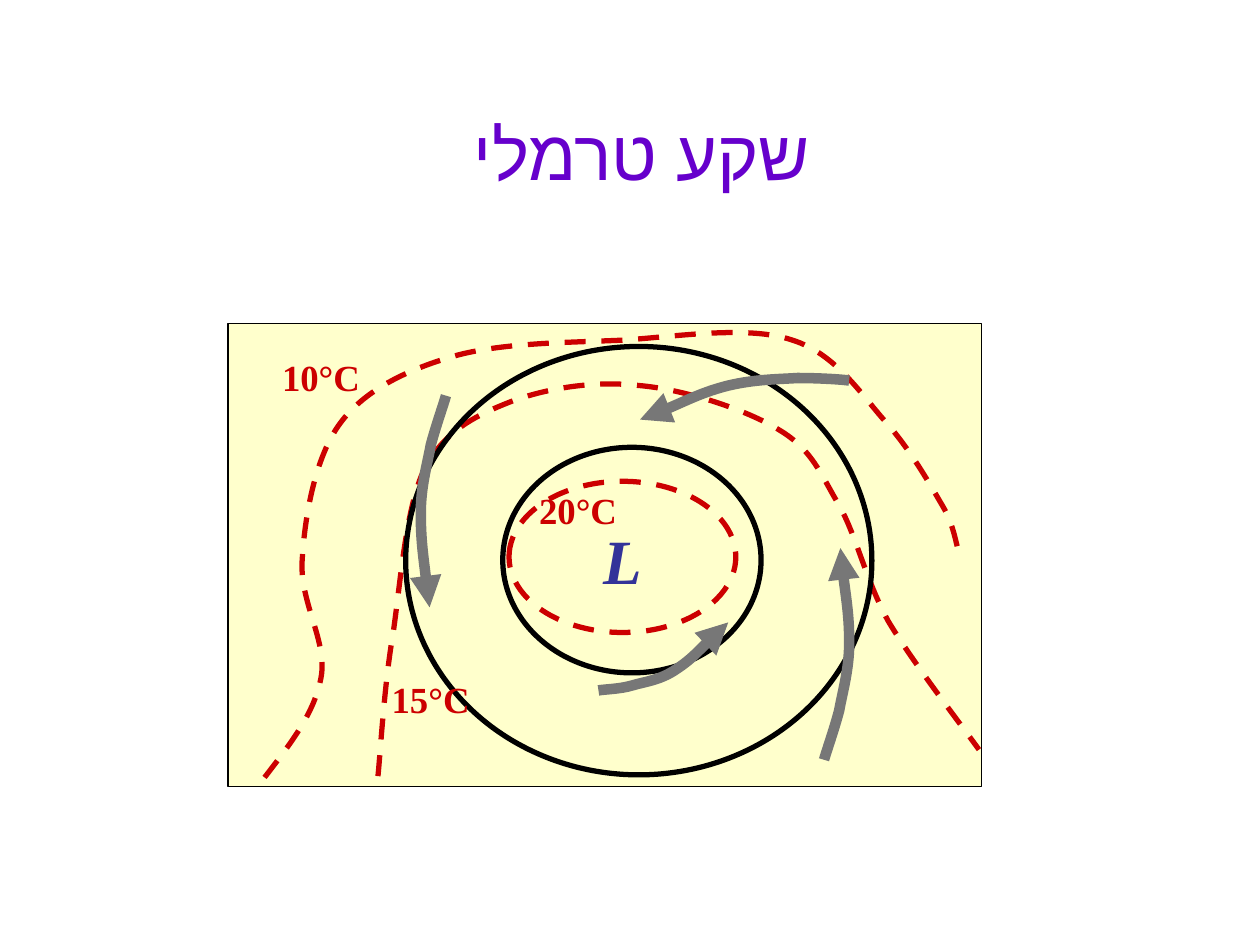
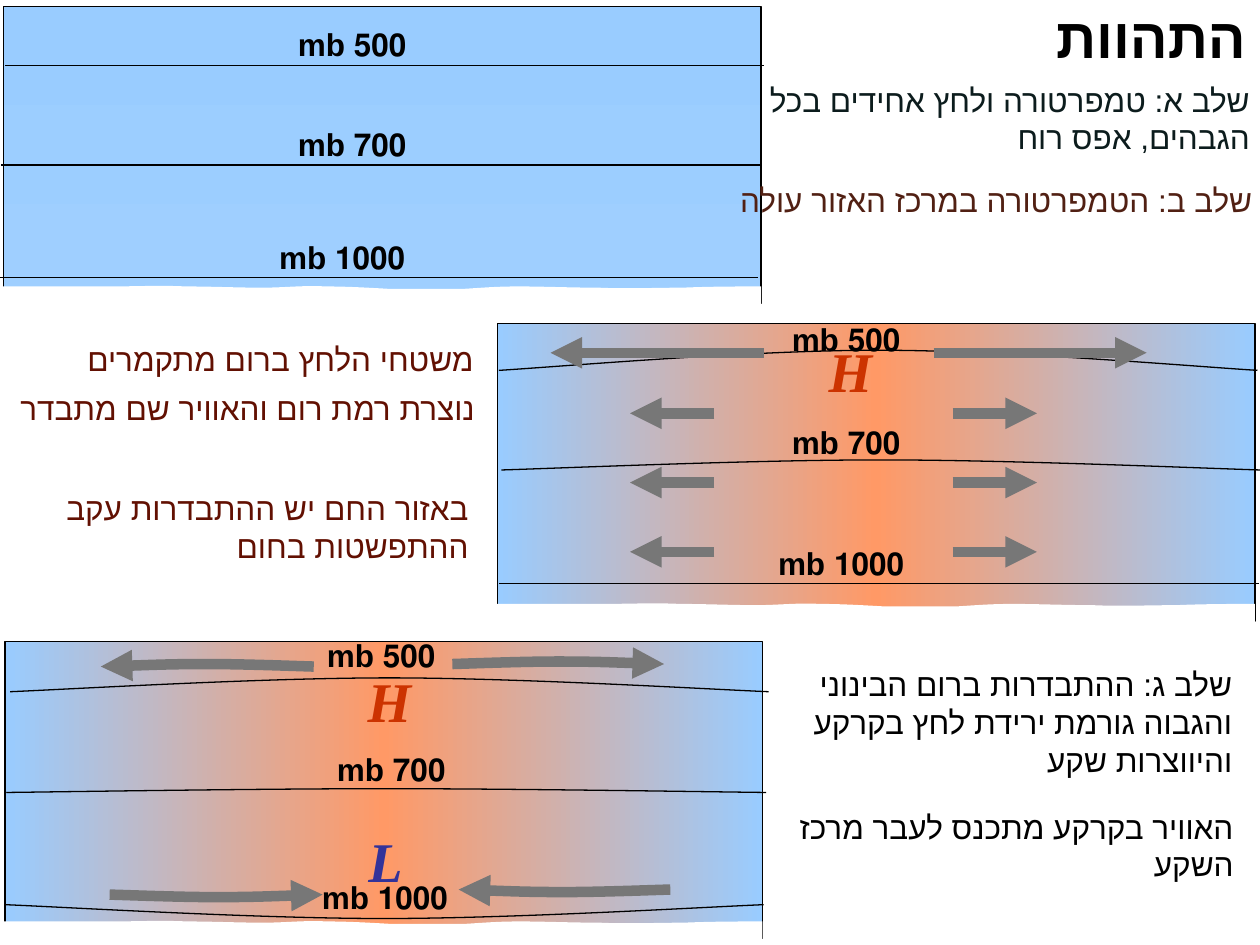
from math import cos, radians, sin
from lxml.etree import SubElement
from pptx import Presentation
from pptx.dml.color import RGBColor
from pptx.enum.dml import MSO_LINE
from pptx.enum.lang import MSO_LANGUAGE_ID
from pptx.enum.shapes import MSO_CONNECTOR, MSO_SHAPE
from pptx.enum.text import PP_ALIGN
from pptx.oxml.ns import qn
from pptx.util import Inches, Pt

BLACK, WHITE, WIND, ISOTHERM = "000000", "FFFFFF", "777777", "CC0000"
COOL, WARM, HIGH, LOW = "99CCFF", "FF9966", "CC3300", "333399"
BROWN = "621002"
SANS, SERIF = "Arial", "Times New Roman"

MAP_TITLE = "שקע טרמלי"
MAP_AREA = (1.81, 2.57, 5.98, 3.67)
MAP_ISOBARS = [(3.99, 3.55, 2.05, 1.79), (3.22, 2.75, 3.7, 3.4)]
WARM_CORE = (4.04, 3.82, 1.8, 1.2)
MAP_ISOTHERMS = [
    [(2.1, 6.17), (2.3, 5.91), (2.5, 5.66), (2.55, 5.37),
     (2.6, 5.08), (2.37, 4.77), (2.4, 4.43), (2.42, 4.1), (2.5, 3.63), (2.7, 3.36),
     (2.89, 3.1), (3.22, 2.94), (3.59, 2.83), (3.97, 2.72), (4.49, 2.72), (4.94, 2.7),
     (5.39, 2.67), (5.94, 2.58), (6.29, 2.7), (6.64, 2.81), (6.84, 3.14), (7.04, 3.36),
     (7.24, 3.59), (7.39, 3.86), (7.49, 4.03), (7.59, 4.21), (7.59, 4.37), (7.63, 4.43)],
    [(3, 6.16), (3.02, 5.97), (3.05, 5.43), (3.12, 5.03),
     (3.18, 4.62), (3.22, 4.03), (3.37, 3.72), (3.53, 3.42), (3.77, 3.3), (4.05, 3.19),
     (4.34, 3.08), (4.72, 3.02), (5.07, 3.06), (5.43, 3.09), (5.92, 3.25), (6.18, 3.41),
     (6.45, 3.57), (6.51, 3.76), (6.66, 4.01), (6.8, 4.26), (6.87, 4.6), (7.05, 4.93),
     (7.24, 5.25), (7.62, 5.74), (7.77, 5.95)],
]
MAP_WINDS = [
    (15, [(6.54, 6.03), (6.56, 5.96), (6.62, 5.79), (6.66, 5.64),
          (6.69, 5.48), (6.74, 5.31), (6.74, 5.1), (6.74, 4.88), (6.68, 4.5), (6.67, 4.35)]),
    (15, [(3.54, 3.14), (3.52, 3.21), (3.46, 3.38), (3.42, 3.53),
          (3.39, 3.69), (3.34, 3.86), (3.34, 4.07), (3.34, 4.29), (3.39, 4.67), (3.41, 4.82)]),
    (270, [(6.74, 3.02), (6.67, 3.01), (6.49, 3), (6.33, 3),
           (6.17, 3.01), (5.99, 3.01), (5.78, 3.06), (5.58, 3.11), (5.23, 3.28), (5.08, 3.33)]),
    (80, [(4.75, 5.48), (4.8, 5.47), (4.92, 5.47), (5.02, 5.44),
          (5.12, 5.41), (5.24, 5.4), (5.37, 5.31), (5.49, 5.23), (5.69, 5.02), (5.78, 4.94)]),
]
TEMPERATURE_AREA = (2.14, 2.77, 2.93, 3.15)
TEMPERATURES = [("10°C", 0, 0), ("20°C", 2.04, 50.7), ("15°C", 0.87, 82.7)]

PANEL_SIZE = (6.01, 2.36)
GROUND = [(-0.03, 2.3), (0.05, 2.3), (0.31, 2.3), (0.46, 2.3),
          (0.61, 2.3), (0.7, 2.3), (0.86, 2.3), (1.03, 2.3), (1.25, 2.29), (1.44, 2.3),
          (1.64, 2.3), (1.86, 2.31), (2.05, 2.31), (2.23, 2.31), (2.38, 2.29), (2.55, 2.3),
          (2.72, 2.3), (2.89, 2.31), (3.07, 2.32), (3.26, 2.32), (3.47, 2.32), (3.64, 2.32),
          (3.81, 2.31), (3.91, 2.3), (4.09, 2.3), (4.27, 2.3), (4.51, 2.31), (4.72, 2.31),
          (4.94, 2.32), (5.17, 2.31), (5.39, 2.31), (5.6, 2.3), (5.88, 2.3), (6.01, 2.3)]
HEATED = [COOL, WARM, COOL]
PANELS = [
    {"at": (0.04, 5.09), "colours": HEATED, "angle": 0,
     "isobars": [(0.04, 6.06, 7.18, -0.11), (0.05, 6.08, 6.29, 0.03), (0.08, 6.1, 5.49, 0.11)],
     "labels": [("1000 mb", 2.27, 6.92), ("700 mb", 2.32, 5.9), ("500 mb", 2.24, 5)],
     "centres": [("H", HIGH, 2.68, 5.24), ("L", LOW, 2.65, 6.51)]},
    {"at": (3.95, 2.57), "colours": HEATED, "angle": 0,
     "isobars": [(3.96, 9.99, 4.63, 0), (3.98, 10, 3.73, 0.08), (3.96, 9.98, 2.94, 0.16)],
     "labels": [("1000 mb", 5.89, 4.27), ("700 mb", 5.93, 3.31), ("500 mb", 5.93, 2.49)],
     "centres": [("H", HIGH, 6.34, 2.62)]},
    {"at": (0.03, 0.05), "colours": [COOL, "9FCFFF"], "angle": 270,
     "isobars": [(0, 6.02, 2.2, 0), (0.01, 6.04, 1.31, 0), (0.04, 6.06, 0.52, 0)],
     "labels": [("1000 mb", 1.93, 1.84), ("700 mb", 2.01, 0.94), ("500 mb", 2.01, 0.15)],
     "centres": []},
]
PANEL_WINDS = [
    (2.49, 0.8, 5.29, 0.02), (3.59, 5.27, 5.27, 0.02),
    (0.87, 2.56, 7.1, -0.02), (5.32, 3.64, 7.06, -0.02),
    (6.06, 4.37, 2.8, 0), (7.41, 9.1, 2.8, 0),
]
for step in range(3):
    spread_y = 3.28 + 0.55 * step
    PANEL_WINDS += [(5.67, 5, spread_y, 0), (7.56, 8.23, spread_y, 0)]

STAGE_TITLE = "התהוות"
STAGES = [
    ("שלב א: טמפרטורה ולחץ אחידים בכל הגבהים, אפס רוח", (6, 0.59, 4.02, 0.71), "0C1C1D"),
    ("שלב ב: הטמפרטורה במרכז האזור עולה", (5.75, 1.39, 4.29, 0.71), "512013"),
    ("משטחי הלחץ ברום מתקמרים", (-0.04, 2.65, 3.9, 0.4), BROWN),
    ("נוצרת רמת רום והאוויר שם מתבדר", (-0.03, 3.04, 3.9, 0.71), BROWN),
    ("באזור החם יש ההתבדרות עקב ההתפשטות בחום", (-0.08, 3.83, 3.9, 0.71), BROWN),
    ("שלב ג: ההתבדרות ברום הבינוני והגבוה גורמת ירידת לחץ בקרקע והיווצרות שקע",
     (6.18, 5.23, 3.7, 1.01), BLACK),
    ("האוויר בקרקע מתכנס לעבר מרכז השקע", (6.02, 6.36, 3.87, 0.71), BLACK),
]


def colour(value):
    return RGBColor.from_string(value)


def lengths(values):
    return [Inches(value) for value in values]


def add_text(page, text, area, size, tint, font=SANS, align=PP_ALIGN.CENTER,
             rtl=True, bold=False, italic=False, hebrew=False):
    frame = page.shapes.add_textbox(*lengths(area)).text_frame
    frame.word_wrap = True
    frame.text = text
    for paragraph in frame.paragraphs:
        paragraph.alignment = align
        if rtl:
            paragraph._p.get_or_add_pPr().set("rtl", "1")
        span = paragraph.runs[0]
        span.font.name = font
        span.font.size = Pt(size)
        span.font.bold = bold
        span.font.italic = italic
        span.font.color.rgb = colour(tint)
        if hebrew:
            span.font.language_id = MSO_LANGUAGE_ID.HEBREW
            SubElement(span._r.get_or_add_rPr(), qn("a:cs")).set("typeface", font)
    return frame


def style_line(shape, tint, width, dashed=False, arrow=False):
    shape.line.color.rgb = colour(tint)
    shape.line.width = Pt(width)
    if dashed:
        shape.line.dash_style = MSO_LINE.DASH
    properties = shape._element.spPr
    if arrow:
        SubElement(properties.find(qn("a:ln")), qn("a:tailEnd")).set("type", "triangle")
    if properties.find(qn("a:effectLst")) is None:
        SubElement(properties, qn("a:effectLst"))


def add_preset(page, preset, area, tint, width, fill=None, dashed=False):
    shape = page.shapes.add_shape(preset, *lengths(area))
    if fill:
        shape.fill.solid()
        shape.fill.fore_color.rgb = colour(fill)
    else:
        shape.fill.background()
    style_line(shape, tint, width, dashed)
    return shape


def turn(x, y, angle):
    c, s = cos(radians(angle)), sin(radians(angle))
    return x * c - y * s, x * s + y * c


def bend(curve):
    outline = next(curve._element.iter(qn("a:path")))
    segments = outline.findall(qn("a:lnTo"))
    for first in range(0, len(segments), 3):
        bezier = SubElement(outline, qn("a:cubicBezTo"))
        for segment in segments[first:first + 3]:
            bezier.append(segment[0])
            outline.remove(segment)


def add_curve(page, points, tint, width, angle=0, **look):
    start, *rest = [lengths(turn(x, y, -angle)) for x, y in points]
    builder = page.shapes.build_freeform(*start)
    builder.add_line_segments(rest, close=False)
    curve = builder.convert_to_shape()
    bend(curve)
    if angle:
        half_width, half_height = curve.width / 2, curve.height / 2
        x, y = turn(curve.left + half_width, curve.top + half_height, angle)
        curve.left, curve.top = int(x - half_width), int(y - half_height)
        curve.rotation = angle
    curve.fill.background()
    style_line(curve, tint, width, **look)


def add_arc(page, start, end, y, rise, tint, width, **look):
    if rise:
        shape = [(0, 0), (0.08, 0.18), (0.33, 1), (0.5, 1), (0.67, 1), (0.92, 0.18), (1, 0)]
        points = [(start + (end - start) * along, y - rise * up) for along, up in shape]
        add_curve(page, points, tint, width, **look)
    else:
        line = page.shapes.add_connector(MSO_CONNECTOR.STRAIGHT, *lengths((start, y, end, y)))
        style_line(line, tint, width, **look)


def fill_gradient(shape, colours, angle):
    shape.fill.gradient()
    shape.fill.gradient_angle = angle
    stops = shape._element.spPr.find(qn("a:gradFill")).find(qn("a:gsLst"))
    for stop in list(stops):
        stops.remove(stop)
    for index, tint in enumerate(colours):
        stop = SubElement(stops, qn("a:gs"))
        stop.set("pos", str(100000 * index // (len(colours) - 1)))
        SubElement(stop, qn("a:srgbClr")).set("val", tint)


def add_panel(page, panel):
    left, top = panel["at"]
    air = add_preset(page, MSO_SHAPE.RECTANGLE, (left, top, *PANEL_SIZE), BLACK, 0.75)
    fill_gradient(air, panel["colours"], panel["angle"])
    add_curve(page, [(left + x, top + y) for x, y in GROUND], WHITE, 11)
    for isobar in panel["isobars"]:
        add_arc(page, *isobar, BLACK, 0.75)
    for text, x, y in panel["labels"]:
        add_text(page, text, (x, y, 1.57, 0.4), 18, BLACK, bold=True)


def add_temperatures(page):
    text = "\n".join(label for label, indent, gap in TEMPERATURES)
    frame = add_text(page, text, TEMPERATURE_AREA, 21, ISOTHERM, SERIF,
                     PP_ALIGN.LEFT, rtl=False, bold=True)
    for paragraph, (label, indent, gap) in zip(frame.paragraphs, TEMPERATURES):
        paragraph._p.get_or_add_pPr().set("marL", str(Inches(indent)))
        if gap:
            paragraph.space_before = Pt(gap)


def build_map(page):
    add_text(page, MAP_TITLE, (3.56, 0.83, 3.07, 0.77), 40, "6600CC", hebrew=True)
    add_preset(page, MSO_SHAPE.RECTANGLE, MAP_AREA, BLACK, 0.75, fill="FFFFCC")
    add_curve(page, MAP_ISOTHERMS[0], ISOTHERM, 3, dashed=True)
    add_preset(page, MSO_SHAPE.OVAL, WARM_CORE, ISOTHERM, 3, dashed=True)
    add_curve(page, MAP_ISOTHERMS[1], ISOTHERM, 3, dashed=True)
    for isobar in MAP_ISOBARS:
        add_preset(page, MSO_SHAPE.OVAL, isobar, BLACK, 3)
    add_temperatures(page)
    for angle, points in MAP_WINDS:
        add_curve(page, points, WIND, 6, angle, arrow=True)
    add_text(page, "L", (4.48, 4.09, 0.71, 0.7), 36, LOW, SERIF, PP_ALIGN.RIGHT,
             bold=True, italic=True)


def build_stages(page):
    for panel in PANELS:
        add_panel(page, panel)
    for wind in PANEL_WINDS:
        add_arc(page, *wind, WIND, 6, arrow=True)
    for panel in PANELS:
        for letter, tint, x, y in panel["centres"]:
            add_text(page, letter, (x, y, 0.82, 0.63), 32, tint, SERIF,
                     rtl=False, bold=True, italic=True)
    add_text(page, STAGE_TITLE, (8.23, -0.03, 1.81, 0.63), 32, BLACK, bold=True, hebrew=True)
    for text, area, tint in STAGES:
        frame = add_text(page, text, area, 18, tint, align=PP_ALIGN.RIGHT, hebrew=True)
        frame.margin_left = 0


def main():
    deck = Presentation()
    deck.slide_width, deck.slide_height = Inches(10), Inches(7.5)
    for build in (build_map, build_stages):
        build(deck.slides.add_slide(deck.slide_layouts[6]))
    deck.save("out.pptx")


if __name__ == "__main__":
    main()
